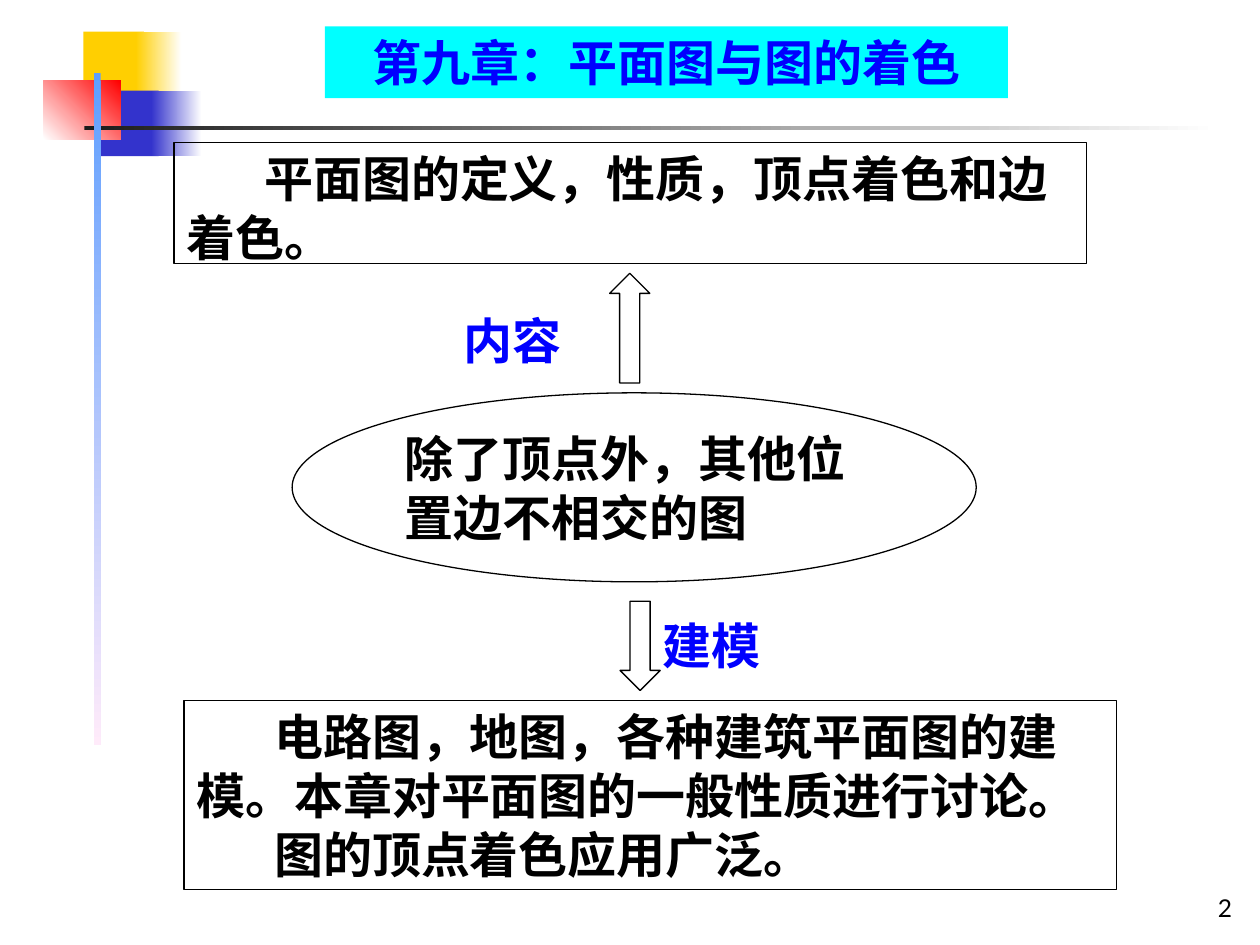
from pptx import Presentation
from pptx.dml.color import RGBColor
from pptx.enum.shapes import MSO_SHAPE as SHAPE
from pptx.enum.text import MSO_ANCHOR as ANCHOR, PP_ALIGN as ALIGN
from pptx.util import Cm, Pt


def rgb(value):
    return RGBColor.from_string(value)


def write(s, lines, color="000000", font="Lato", size=28, bold=True,
          align=ALIGN.LEFT, anchor=ANCHOR.TOP, indent=0):
    tf = s.text_frame
    tf.word_wrap = True
    tf.vertical_anchor = anchor
    tf.margin_left = tf.margin_right = Cm(0.25)
    tf.margin_top = tf.margin_bottom = Cm(0.13)
    tf.text = "\n".join(lines)
    for p in tf.paragraphs:
        p.alignment = align
        p.space_before = Pt(0)
        p.font.name, p.font.size, p.font.bold = font, Pt(size), bold
        p.font.color.rgb = rgb(color)
        if indent:
            p._p.get_or_add_pPr().set("indent", str(Cm(indent)))


prs = Presentation()
prs.slide_width, prs.slide_height = Cm(25.4), Cm(19.05)
slide = prs.slides.add_slide(prs.slide_layouts[5])
shapes = slide.shapes

# Corner decoration: left, top, width, height, colours, gradient angle
decoration = [
    (1.68, 0.64, 1.22, 1.32, ["FFCF01"], 0),
    (2.74, 0.64, 0.92, 1.32, ["FFCF01", "FFFFFF"], 0),
    (2.03, 1.83, 1.17, 1.32, ["3333CC"], 0),
    (3.05, 1.83, 1.02, 1.32, ["3333CC", "FFFFFF"], 0),
    (0.88, 1.63, 1.56, 1.18, ["FFFFFF", "FF0000"], 45),
    (1.7, 2.54, 22.86, 0.08, ["1C1C1C", "FFFFFF"], 0),
    (1.9, 1.47, 0.13, 13.55, ["5E9EFF", "FFEBFA"], 270),
]
for x, y, w, h, colors, angle in decoration:
    s = shapes.add_shape(SHAPE.RECTANGLE, Cm(x), Cm(y), Cm(w), Cm(h))
    s.shadow.inherit = False
    s.line.fill.background()
    if len(colors) == 1:
        s.fill.solid()
        s.fill.fore_color.rgb = rgb(colors[0])
    else:
        s.fill.gradient()
        s.fill.gradient_angle = angle
        for stop, color in zip(s.fill.gradient_stops, colors):
            stop.color.rgb = rgb(color)

# Title
title = shapes.title
title.left, title.top, title.width, title.height = Cm(6.55), Cm(0.53), Cm(13.77), Cm(1.45)
title.fill.solid()
title.fill.fore_color.rgb = rgb("00FFFF")
write(title, ["第九章：平面图与图的着色"], "0000FF", "Noto Sans CJK SC", align=ALIGN.CENTER)

# Outlined boxes, ellipse and arrows
outlined = [
    (SHAPE.OVAL, 5.89, 7.92, 13.79, 3.81, ["除了顶点外，其他位置边不相交的图"]),
    (SHAPE.DOWN_ARROW, 12.5, 12.12, 0.81, 1.8, []),
    (SHAPE.RECTANGLE, 3.71, 14.12, 18.8, 3.81,
     ["电路图，地图，各种建筑平面图的建模。本章对平面图的一般性质进行讨论。",
      "图的顶点着色应用广泛。"]),
    (SHAPE.RECTANGLE, 3.51, 2.87, 18.39, 2.44, ["平面图的定义，性质，顶点着色和边着色。"]),
    (SHAPE.UP_ARROW, 12.29, 5.51, 0.81, 2.21, []),
]
for kind, x, y, w, h, lines in outlined:
    s = shapes.add_shape(kind, Cm(x), Cm(y), Cm(w), Cm(h))
    s.shadow.inherit = False
    s.fill.background()
    s.line.color.rgb = rgb("000000")
    s.line.width = Pt(0.75)
    if kind == SHAPE.OVAL:
        write(s, lines, anchor=ANCHOR.MIDDLE)
    elif lines:
        write(s, lines, indent=1.57)

# Arrow labels
for x, y, label in [(13.11, 12.27, "建模"), (9.09, 6.12, "内容")]:
    s = shapes.add_textbox(Cm(x), Cm(y), Cm(3.6), Cm(1.45))
    write(s, [label], "0000FF", "Times New Roman")

# Page number
s = shapes.add_textbox(Cm(19.81), Cm(17.45), Cm(5.28), Cm(1.27))
write(s, ["2"], size=14, bold=False, align=ALIGN.RIGHT, anchor=ANCHOR.BOTTOM)

prs.save("out.pptx")
